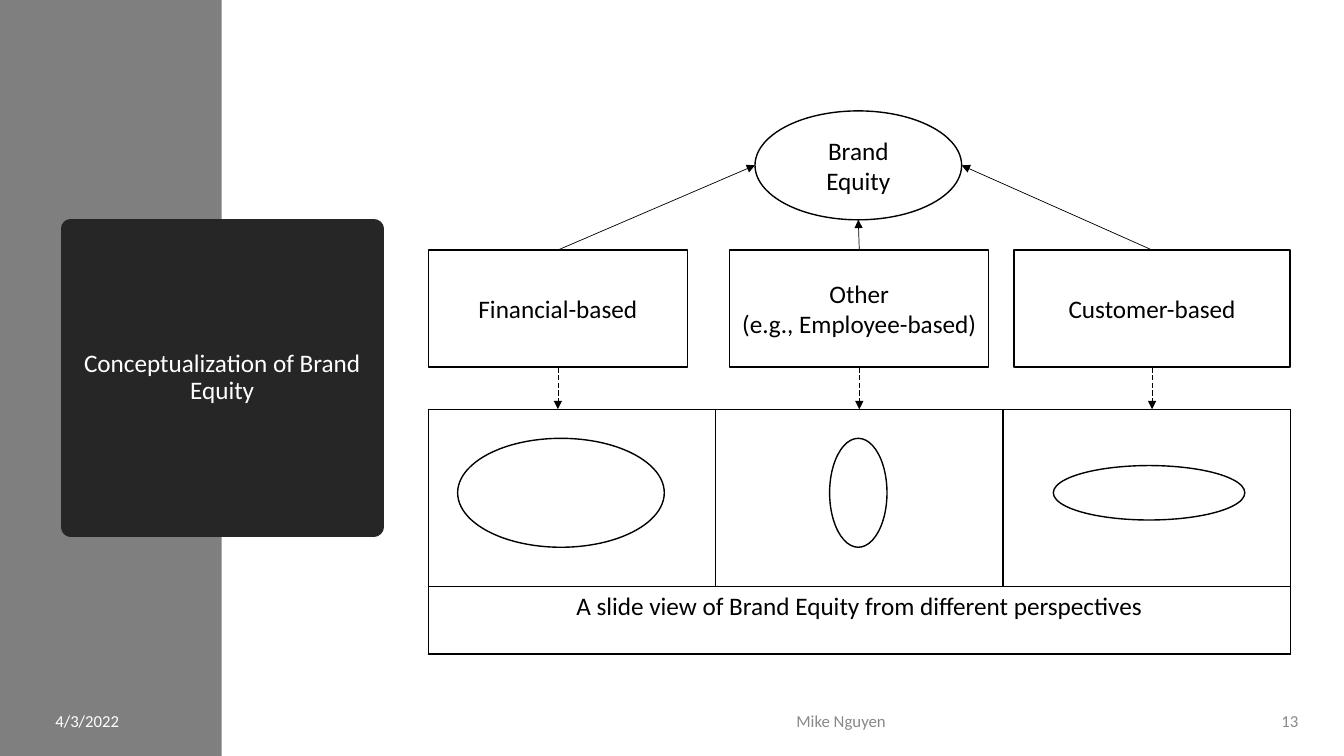
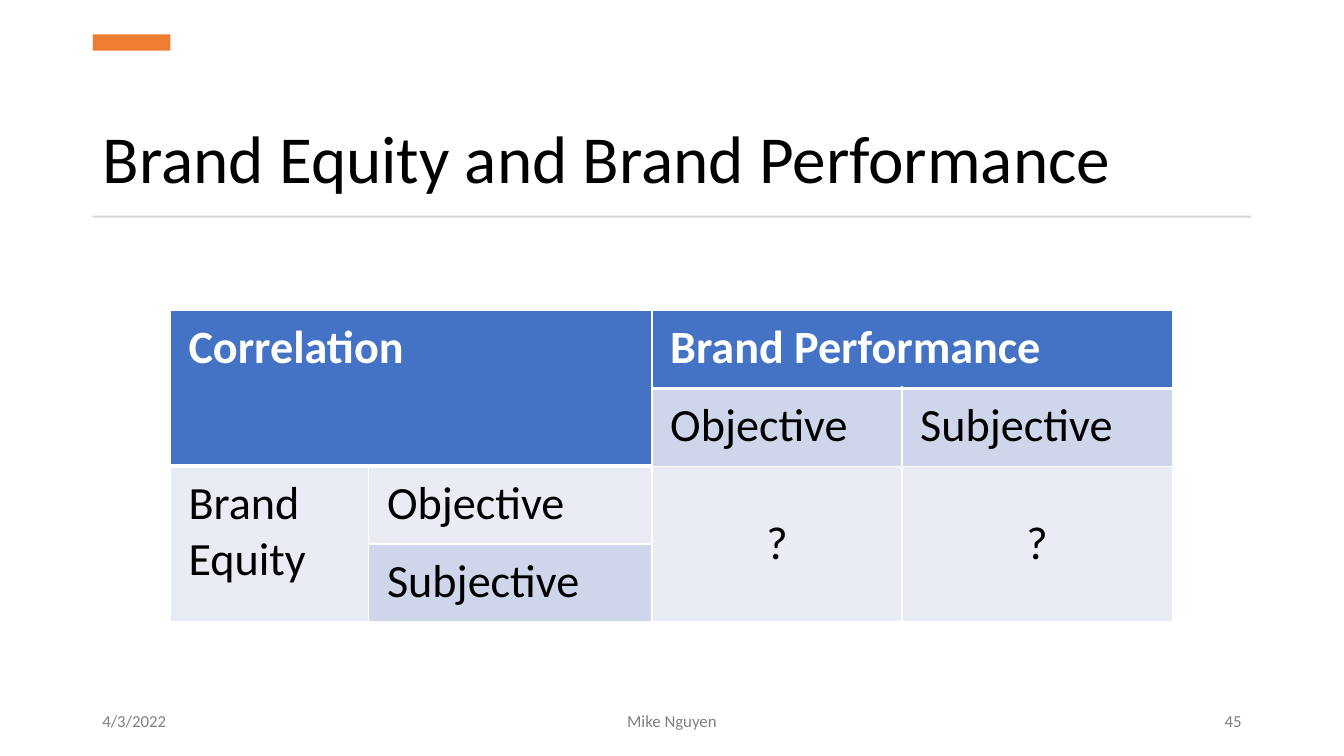
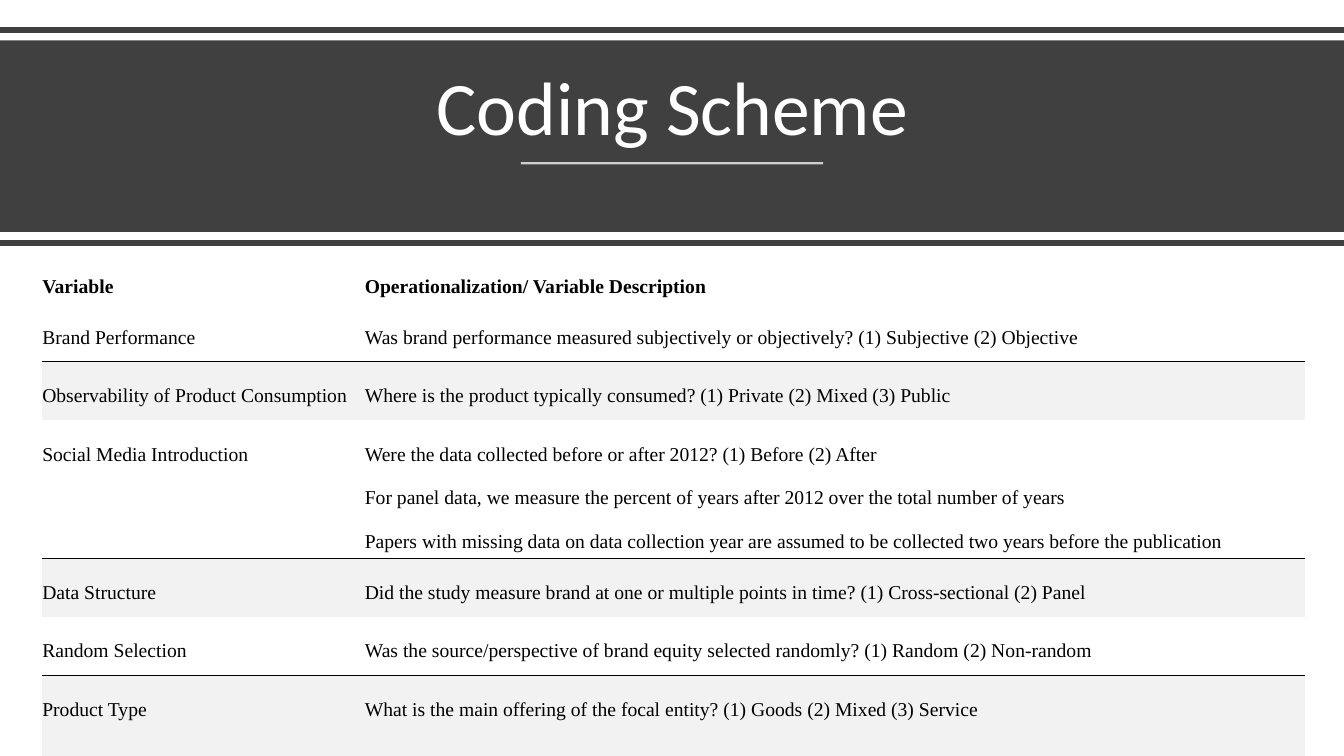
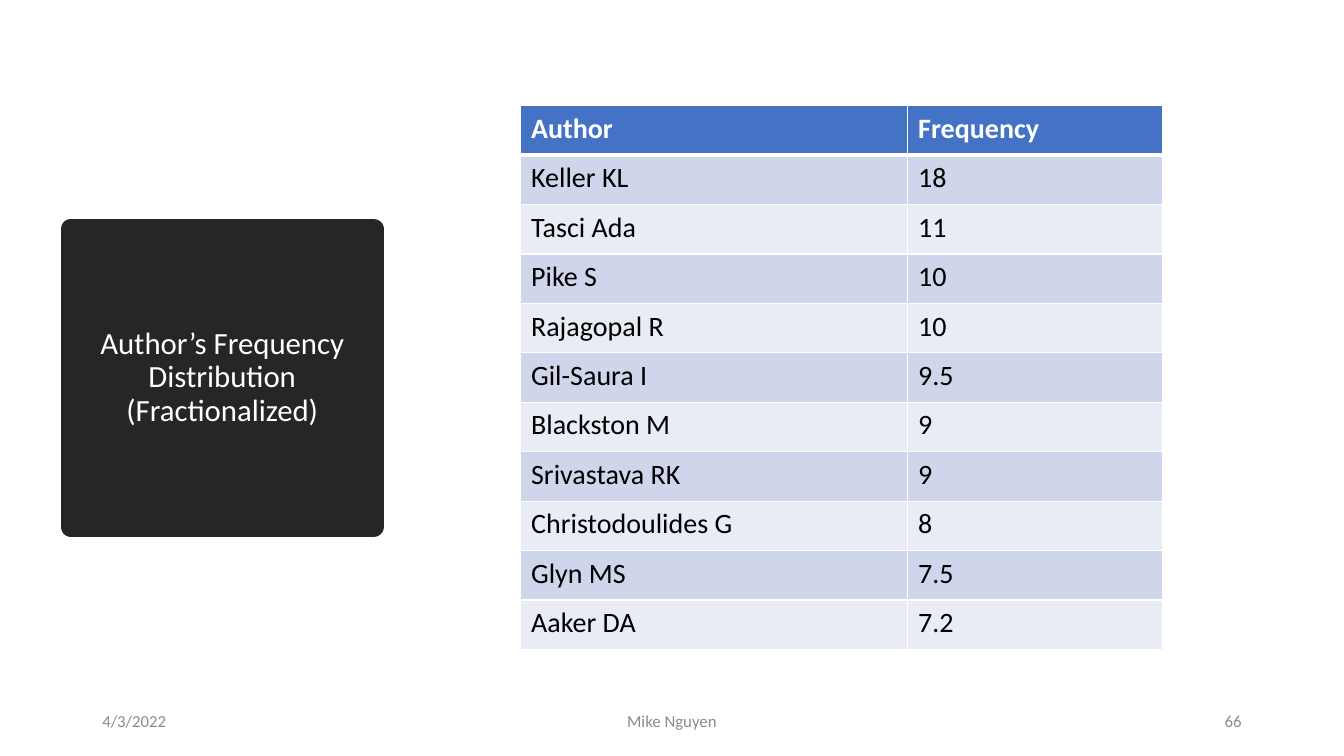
from lxml.etree import SubElement
from pptx import Presentation
from pptx.dml.color import RGBColor
from pptx.enum.dml import MSO_LINE
from pptx.enum.shapes import MSO_CONNECTOR, MSO_SHAPE
from pptx.enum.text import MSO_ANCHOR, MSO_AUTO_SIZE, PP_ALIGN
from pptx.oxml.ns import qn
from pptx.util import Pt

WIDTH, HEIGHT = 960, 540
TITLE_ONLY = 5
BLACK, WHITE, GRAY = "000000", "FFFFFF", "7F7F7F"
CARD, BANNER, SHADE = "262626", "404040", "F2F2F2"
BLUE, DARK_BAND, LIGHT_BAND = "4472C4", "CFD5EA", "E9EBF5"
ORANGE, RULE = "ED7D31", "D5D5D5"
LEFT, CENTER, RIGHT = PP_ALIGN.LEFT, PP_ALIGN.CENTER, PP_ALIGN.RIGHT
TOP, MIDDLE, BOTTOM = MSO_ANCHOR.TOP, MSO_ANCHOR.MIDDLE, MSO_ANCHOR.BOTTOM

DATE, PRESENTER = "4/3/2022", "Mike Nguyen"
WIDE_FOOTER = [(66, 216), (318, 324), (678, 216)]
SIDE_FOOTER = [(32.4, 116.6), (324, 553.7), (890.6, 43.9)]

PERSPECTIVES = [
    (["Financial-based"], 306, 185),
    (["Other", "(e.g., Employee-based)"], 521.3, 185),
    (["Customer-based"], 724.3, 197.3),
]
VIEWS = [(400.7, 147.6, 77.8), (613.1, 41, 77.8), (820.8, 136.8, 38.9)]
VIEW_ROWS = [["", "", ""], ["A slide view of Brand Equity from different perspectives", "", ""]]

CORRELATION = [
    ["Correlation", "", "Brand Performance", ""],
    ["", "", "Objective", "Subjective"],
    ["Brand Equity", "Objective", "?", "?"],
    ["", "Subjective", "", ""],
]
CORRELATION_FILLS = [
    [BLUE, BLUE, BLUE, BLUE],
    [BLUE, BLUE, DARK_BAND, DARK_BAND],
    [LIGHT_BAND, LIGHT_BAND, LIGHT_BAND, LIGHT_BAND],
    [LIGHT_BAND, DARK_BAND, LIGHT_BAND, LIGHT_BAND],
]
CORRELATION_MERGES = [(0, 0, 1, 1), (0, 2, 0, 3), (2, 0, 3, 0), (2, 2, 3, 2), (2, 3, 3, 3)]

CODING = [
    ["Variable", "Operationalization/ Variable Description"],
    ["Brand Performance",
     "Was brand performance measured subjectively or objectively? (1) Subjective (2) Objective"],
    ["Observability of Product Consumption",
     "Where is the product typically consumed? (1) Private (2) Mixed (3) Public"],
    ["Social Media Introduction",
     ["Were the data collected before or after 2012? (1) Before (2) After",
      "For panel data, we measure the percent of years after 2012 over the total number of years",
      "Papers with missing data on data collection year are assumed to be collected two years "
      "before the publication"]],
    ["Data Structure",
     "Did the study measure brand at one or multiple points in time? (1) Cross-sectional (2) Panel"],
    ["Random Selection",
     "Was the source/perspective of brand equity selected randomly? (1) Random (2) Non-random"],
    ["Product Type",
     "What is the main offering of the focal entity? (1) Goods (2) Mixed (3) Service"],
]
CODING_HEIGHTS = [29.5, 41.8, 41.8, 59, 41.8, 41.8, 59]

AUTHORS = [
    ["Author", "Frequency"],
    ["Keller KL", "18"],
    ["Tasci Ada", "11"],
    ["Pike S", "10"],
    ["Rajagopal R", "10"],
    ["Gil-Saura I", "9.5"],
    ["Blackston M", "9"],
    ["Srivastava RK", "9"],
    ["Christodoulides G", "8"],
    ["Glyn MS", "7.5"],
    ["Aaker DA", "7.2"],
]


def ink(code):
    return RGBColor.from_string(code)


def assign(target, values):
    for name, value in values.items():
        setattr(target, name, value)


def box(left, top, width, height):
    return Pt(left), Pt(top), Pt(width), Pt(height)


def write(frame, lines, size, color=BLACK, align=LEFT, bold=False, font="Calibri",
          spacing=None, hang=0):
    for number, line in enumerate([lines] if isinstance(lines, str) else lines):
        paragraph = frame.add_paragraph() if number else frame.paragraphs[0]
        if hang and number:
            properties = paragraph._p.get_or_add_pPr()
            properties.set("marL", str(Pt(hang)))
            properties.set("indent", str(-Pt(hang)))
        run = paragraph.add_run()
        run.text = line
        assign(paragraph, {"alignment": align, "line_spacing": spacing})
        assign(run.font, {"name": font, "size": Pt(size), "bold": bold})
        run.font.color.rgb = ink(color)


def add_block(slide, kind, at, fill, outline=None):
    block = slide.shapes.add_shape(kind, *box(*at))
    block.shadow.inherit = False
    block.fill.solid()
    block.fill.fore_color.rgb = ink(fill)
    if outline:
        block.line.color.rgb = ink(outline)
        block.line.width = Pt(1)
    else:
        block.line.fill.background()
    return block


def label(block, lines):
    assign(block.text_frame, {"word_wrap": True, "vertical_anchor": MIDDLE})
    write(block.text_frame, lines, 18, align=CENTER)


def add_line(slide, start, end, color, width, arrow=False, dash=None):
    line = slide.shapes.add_connector(MSO_CONNECTOR.STRAIGHT, *map(Pt, start + end))
    line.line.color.rgb = ink(color)
    line.line.width = Pt(width)
    if dash:
        line.line.dash_style = dash
    if arrow:
        SubElement(line.line._get_or_add_ln(), qn("a:tailEnd"), type="triangle")
    SubElement(line._element.spPr, qn("a:effectLst"))
    return line


def set_title(slide, text, at, size, color=BLACK, align=CENTER, anchor=BOTTOM):
    title = slide.shapes.title
    assign(title, dict(zip(("left", "top", "width", "height"), box(*at))))
    assign(title.text_frame, {"auto_size": MSO_AUTO_SIZE.NONE, "word_wrap": True,
                              "vertical_anchor": anchor})
    write(title.text_frame, text, size, color, align, spacing=0.9)
    title.element.getparent().append(title.element)
    return title


def set_card_title(slide, text, size):
    card = set_title(slide, text, (50.4, 163.4, 216.7, 213.1), size, WHITE, anchor=MIDDLE)
    card.fill.solid()
    card.fill.fore_color.rgb = ink(CARD)
    card.line.color.rgb = ink(CARD)
    card.line.width = Pt(13.75)


def add_footer(slide, number, spans, color, date_color=None):
    parts = zip((DATE, PRESENTER, number), spans, (LEFT, CENTER, RIGHT),
                (date_color or color, color, color))
    for text, (left, width), align, tint in parts:
        frame = slide.shapes.add_textbox(*box(left, 500.4, width, 28.8)).text_frame
        assign(frame, {"word_wrap": True, "vertical_anchor": MIDDLE})
        write(frame, text, 12, tint, align)


def set_borders(cell, borders):
    properties = cell._tc.get_or_add_tcPr()
    for side in "LRTB":
        color, width = borders.get(side, (None, 0))
        edge = SubElement(properties, qn(f"a:ln{side}"), w=str(Pt(width)))
        if color:
            SubElement(SubElement(edge, qn("a:solidFill")), qn("a:srgbClr"), val=color)
        else:
            SubElement(edge, qn("a:noFill"))


def all_sides(color, bottom=1):
    return {"L": (color, 1), "R": (color, 1), "T": (color, 1), "B": (color, bottom)}


def add_grid(slide, corner, widths, heights, content, look, merges=()):
    frame = slide.shapes.add_table(len(heights), len(widths),
                                   *box(*corner, sum(widths), sum(heights)))
    grid = frame.table
    assign(grid, {"first_row": False, "horz_banding": False})
    for column, width in zip(grid.columns, widths):
        column.width = Pt(width)
    for row, height in zip(grid.rows, heights):
        row.height = Pt(height)
    for top, left, bottom, right in merges:
        grid.cell(top, left).merge(grid.cell(bottom, right))
    for r, texts in enumerate(content):
        for c, text in enumerate(texts):
            cell = grid.cell(r, c)
            style = look(r, c)
            set_borders(cell, style["borders"])
            if style["fill"]:
                cell.fill.solid()
                cell.fill.fore_color.rgb = ink(style["fill"])
            else:
                cell.fill.background()
            sides = ("margin_left", "margin_top", "margin_right", "margin_bottom")
            assign(cell, dict(zip(sides, map(Pt, style["inset"]))))
            cell.vertical_anchor = style.get("anchor", TOP)
            if text:
                write(cell.text_frame, text, **style["text"])


def view_look(r, c):
    return {"fill": WHITE, "borders": all_sides(BLACK), "inset": (7.2, 3.6, 7.2, 3.6),
            "text": {"size": 18, "align": CENTER}}


def banded_look(fill, size, inset, centered=False):
    head = fill == BLUE
    return {"fill": fill, "borders": all_sides(WHITE, 3 if head else 1), "inset": inset,
            "anchor": MIDDLE if centered else TOP,
            "text": {"size": size, "color": WHITE if head else BLACK, "bold": head,
                     "align": CENTER if centered else LEFT}}


def correlation_look(r, c):
    return banded_look(CORRELATION_FILLS[r][c], 33, (13, 6.5, 13, 6.5),
                       CORRELATION[r][c] == "?")


def author_look(r, c):
    fill = BLUE if r == 0 else (LIGHT_BAND, DARK_BAND)[r % 2]
    return banded_look(fill, 20, (7.9, 4.3, 7.9, 4.3))


def coding_look(r, c):
    head, shaded = r == 0, r > 0 and r % 2 == 0
    side = "T" if shaded else "B"
    return {"fill": SHADE if shaded else None,
            "borders": {} if head else {side: (BLACK, 0.75)},
            "inset": (0, 0.7 if head else 1.4, 0.7, 4.3),
            "anchor": BOTTOM if head else TOP,
            "text": {"size": 14, "bold": head, "font": "Times New Roman",
                     "spacing": 2.0, "hang": 27}}


def build_concept(slide):
    add_block(slide, MSO_SHAPE.RECTANGLE, (0, 0, 158.4, HEIGHT), GRAY)
    set_card_title(slide, "Conceptualization of Brand Equity", 18)
    add_footer(slide, "13", SIDE_FOOTER, "898989", WHITE)

    left, top, width, height = equity_at = (539.3, 79.2, 147.6, 77.8)
    equity = add_block(slide, MSO_SHAPE.OVAL, equity_at, WHITE, BLACK)
    label(equity, "Brand Equity")
    middle = top + height / 2
    targets = [(left, middle), (left + width / 2, top + height), (left + width, middle)]

    table_top, box_top, box_height = 292.3, 178.6, 83.5
    add_grid(slide, (306, table_top), [205.2] * 3, [126.7, 48.2], VIEW_ROWS, view_look,
             [(1, 0, 1, 2)])
    for (lines, x, wide), target in zip(PERSPECTIVES, targets):
        perspective = add_block(slide, MSO_SHAPE.RECTANGLE, (x, box_top, wide, box_height),
                                WHITE, BLACK)
        label(perspective, lines)
        center = x + wide / 2
        up = add_line(slide, (center, box_top), target, BLACK, 0.5, True)
        up.begin_connect(perspective, 0)
        down = add_line(slide, (center, box_top + box_height), (center, table_top),
                        BLACK, 0.5, True, MSO_LINE.LONG_DASH)
        down.begin_connect(perspective, 2)
    for center, wide, tall in VIEWS:
        add_block(slide, MSO_SHAPE.OVAL, (center - wide / 2, 352 - tall / 2, wide, tall),
                  WHITE, BLACK)


def build_correlation(slide):
    set_title(slide, "Brand Equity and Brand Performance", (66.2, 54, 827.3, 91.4), 48,
              align=LEFT)
    add_block(slide, MSO_SHAPE.RECTANGLE, (66.4, 24.6, 55.4, 11.6), ORANGE)
    add_block(slide, MSO_SHAPE.RECTANGLE, (66.2, 154.1, 827.3, 1.4), RULE)
    add_footer(slide, "45", WIDE_FOOTER, "808080")
    add_grid(slide, (121.7, 221.8), [141.8, 202.3, 178.6, 193], [55.6] * 4, CORRELATION,
             correlation_look, CORRELATION_MERGES)


def build_coding(slide):
    for y in (21.6, 173.5):
        add_line(slide, (0, y), (WIDTH, y), BANNER, 4)
    add_block(slide, MSO_SHAPE.RECTANGLE, (0, 28.8, WIDTH, 136.8), BANNER)
    set_title(slide, "Coding Scheme", (41.8, 38.9, 877, 73.4), 54, WHITE)
    underline = add_line(slide, (372, 116.6), (588, 116.6), WHITE, 1.5)
    tint = next(underline._element.iter(qn("a:srgbClr")))
    SubElement(tint, qn("a:alpha"), val="75000")
    add_grid(slide, (30.2, 180.7), [230.4, 671.8], CODING_HEIGHTS, CODING, coding_look)


def build_authors(slide):
    set_card_title(slide, "Author’s Frequency Distribution (Fractionalized)", 22)
    add_grid(slide, (371.5, 75.6), [276.5, 182.2], [35.3] * len(AUTHORS), AUTHORS, author_look)
    add_footer(slide, "66", WIDE_FOOTER, "8C8C8C")


def main():
    deck = Presentation()
    assign(deck, {"slide_width": Pt(WIDTH), "slide_height": Pt(HEIGHT)})
    for build in (build_concept, build_correlation, build_coding, build_authors):
        build(deck.slides.add_slide(deck.slide_layouts[TITLE_ONLY]))
    deck.save("out.pptx")


if __name__ == "__main__":
    main()
